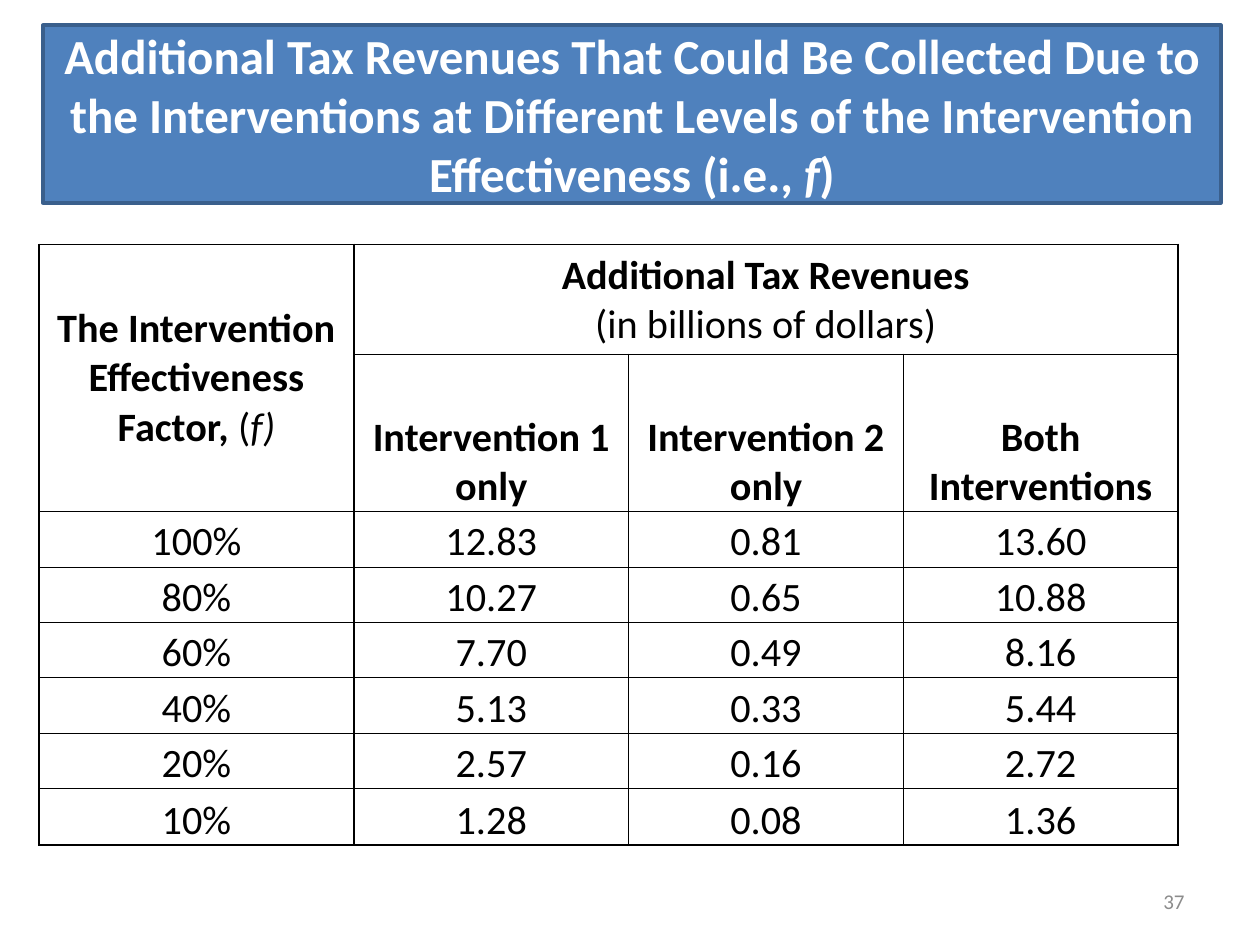
from lxml import etree
from pptx import Presentation, util as u
from pptx.dml.color import RGBColor
from pptx.enum import shapes, text
from pptx.oxml.ns import qn

BLUE = RGBColor(0x4F, 0x81, 0xBD)
NAVY = RGBColor(0x3A, 0x5F, 0x8C)
WHITE = RGBColor(0xFF, 0xFF, 0xFF)
BLACK = RGBColor(0x00, 0x00, 0x00)
GRAY = RGBColor(0x8C, 0x8C, 0x8C)

WIDTH, HEIGHT = u.Inches(10), u.Inches(7.5)
COLUMNS = [250, 218, 218, 218]
ROWS = [87, 78] + [44] * 5 + [45]
HEADER_ROWS = 2

FACTOR = [("The Intervention Effectiveness Factor, ", {"bold": True}),
          ("(", {}), ("f)", {"italic": True})]
REVENUES = [("Additional Tax Revenues", {"bold": True}), None,
            ("(in billions of dollars)", {})]
INTERVENTIONS = ["Intervention 1 only", "Intervention 2 only", "Both Interventions"]
RESULTS = [
    ("100%", "12.83", "0.81", "13.60"),
    ("80%", "10.27", "0.65", "10.88"),
    ("60%", "7.70", "0.49", "8.16"),
    ("40%", "5.13", "0.33", "5.44"),
    ("20%", "2.57", "0.16", "2.72"),
    ("10%", "1.28", "0.08", "1.36"),
]


def box(left, top, width, height):
    """Turn percentages of the slide's size into lengths."""
    return [int(share * side / 100) for share, side in
            zip((left, top, width, height), (WIDTH, HEIGHT) * 2)]


def write(tf, parts, size, color, align=text.PP_ALIGN.CENTER):
    """Fill one paragraph with (text, font values) parts; None breaks the line."""
    tf.word_wrap = True
    p = tf.paragraphs[0]
    p.alignment = align
    for part in parts:
        if part is None:
            p.add_line_break()
            continue
        r = p.add_run()
        r.text, values = part
        r.font.color.rgb = color
        base = {"name": "Calibri", "size": u.Pt(size), "bold": False, "italic": False}
        for name, value in {**base, **values}.items():
            setattr(r.font, name, value)


def add_title(s, area):
    sp = s.shapes.add_shape(shapes.MSO_SHAPE.RECTANGLE, *area)
    sp.shadow.inherit = False
    sp.fill.solid()
    sp.fill.fore_color.rgb = BLUE
    sp.line.color.rgb = NAVY
    sp.line.width = u.Pt(2)
    sp.text_frame.vertical_anchor = text.MSO_ANCHOR.MIDDLE
    bold = {"bold": True}
    write(sp.text_frame, [
        ("Additional Tax Revenues That Could Be Collected Due to the Interventions "
         "at Different Levels of the Intervention Effectiveness (i.e., ", bold),
        ("f", {"bold": True, "italic": True}), (")", bold)], 28, WHITE)


def add_page_number(s, area):
    tf = s.shapes.add_textbox(*area).text_frame
    tf.vertical_anchor = text.MSO_ANCHOR.MIDDLE
    write(tf, [("37", {})], 12, GRAY, text.PP_ALIGN.RIGHT)


def set_borders(cell, widths):
    """Draw black borders, with widths in points for left, right, top and bottom."""
    tc_pr = cell._tc.get_or_add_tcPr()
    for i, (side, width) in enumerate(zip("LRTB", widths)):
        ln = etree.Element(qn(f"a:ln{side}"), w=str(u.Pt(width)))
        fill = etree.SubElement(ln, qn("a:solidFill"))
        etree.SubElement(fill, qn("a:srgbClr"), val=str(BLACK))
        tc_pr.insert(i, ln)


def add_revenue_table(s, area):
    left, top, width, height = area
    table = s.shapes.add_table(len(ROWS), len(COLUMNS), *area).table
    table.first_row = table.horz_banding = False
    for column, share in zip(table.columns, COLUMNS):
        column.width = width * share // sum(COLUMNS)
    for row, share in zip(table.rows, ROWS):
        row.height = height * share // sum(ROWS)
    table.cell(0, 0).merge(table.cell(1, 0))
    table.cell(0, 1).merge(table.cell(0, 3))

    contents = {(0, 0): FACTOR, (0, 1): REVENUES}
    for j, label in enumerate(INTERVENTIONS, 1):
        contents[1, j] = [(label, {"bold": True})]
    for i, result in enumerate(RESULTS, HEADER_ROWS):
        for j, value in enumerate(result):
            contents[i, j] = [(value, {})]

    # Heavy rules frame the table, its header and its first column.
    heavy_x, heavy_y = (0, 1, len(COLUMNS)), (0, HEADER_ROWS, len(ROWS))
    tight = {"margin_left": 0.01, "margin_right": 0.01,
             "margin_top": 0.01, "margin_bottom": 0}
    for (i, j), parts in contents.items():
        cell = table.cell(i, j)
        cell.fill.background()
        cell.vertical_anchor = text.MSO_ANCHOR.BOTTOM
        if i > 0:
            for name, value in tight.items():
                setattr(cell, name, u.Inches(value))
        write(cell.text_frame, parts, 23, BLACK)
        right = j + (cell.span_width if cell.is_merge_origin else 1)
        bottom = i + (cell.span_height if cell.is_merge_origin else 1)
        heavy = (j in heavy_x, right in heavy_x, i in heavy_y, bottom in heavy_y)
        set_borders(cell, [1 if h else 0.5 for h in heavy])
    table.cell(0, 0).vertical_anchor = text.MSO_ANCHOR.MIDDLE


def main():
    prs = Presentation()
    prs.slide_width, prs.slide_height = WIDTH, HEIGHT
    s = prs.slides.add_slide(prs.slide_layouts[6])
    add_title(s, box(3.4, 2.67, 93.5, 18.8))
    add_page_number(s, box(71.7, 92.67, 23.3, 5.33))
    add_revenue_table(s, box(3.1, 25.87, 90.4, 57.33))
    prs.save("out.pptx")


if __name__ == "__main__":
    main()
